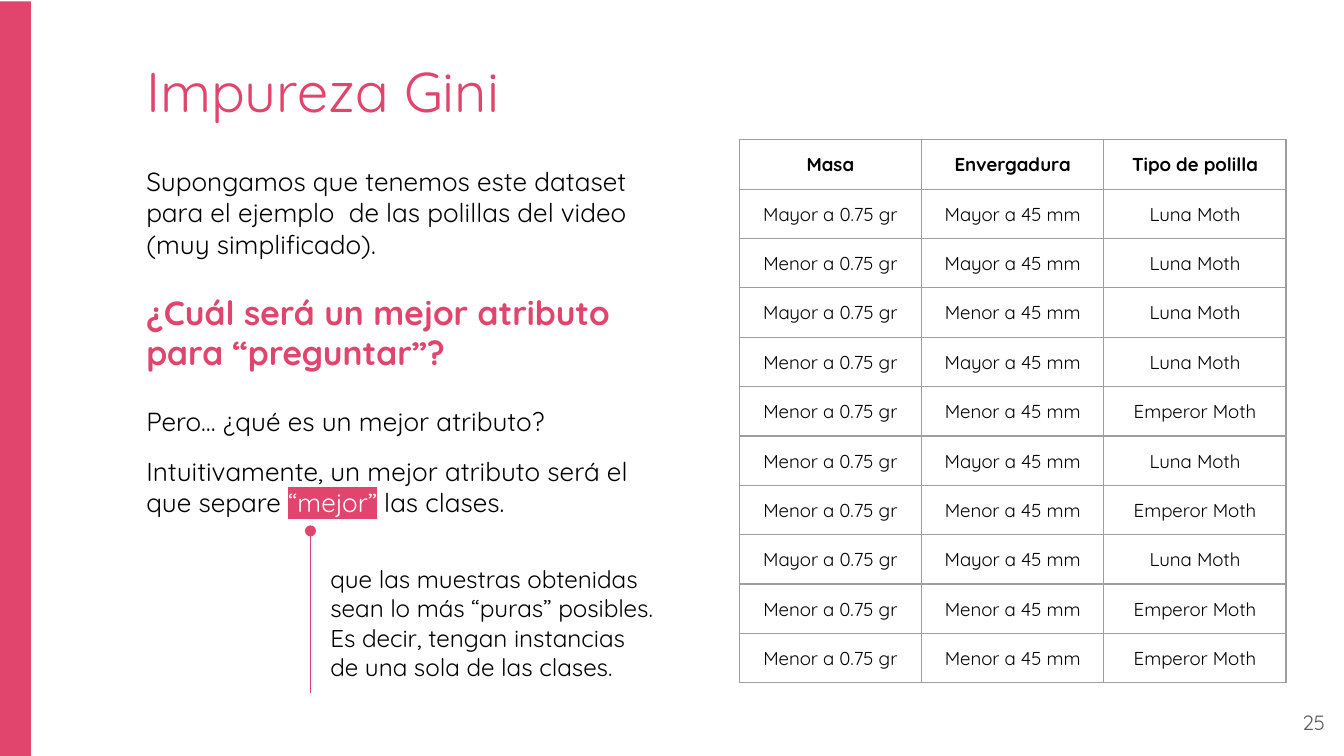
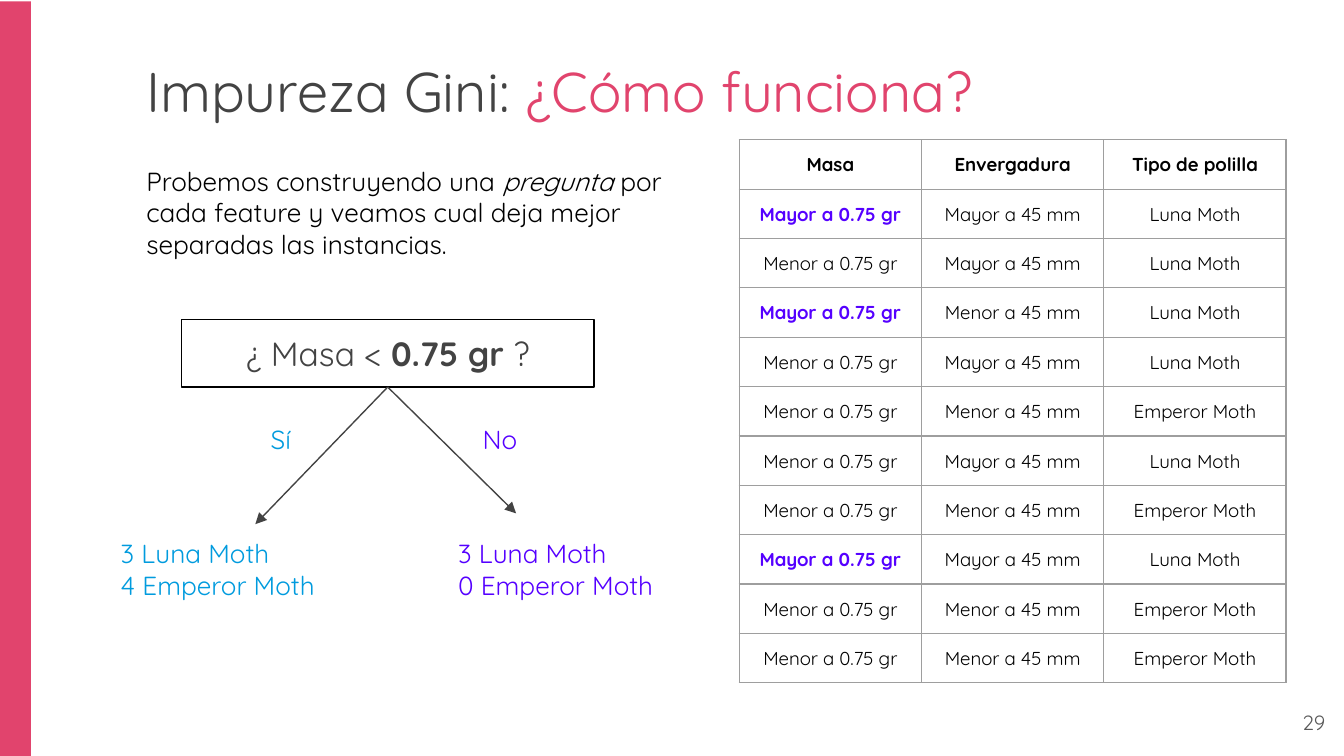
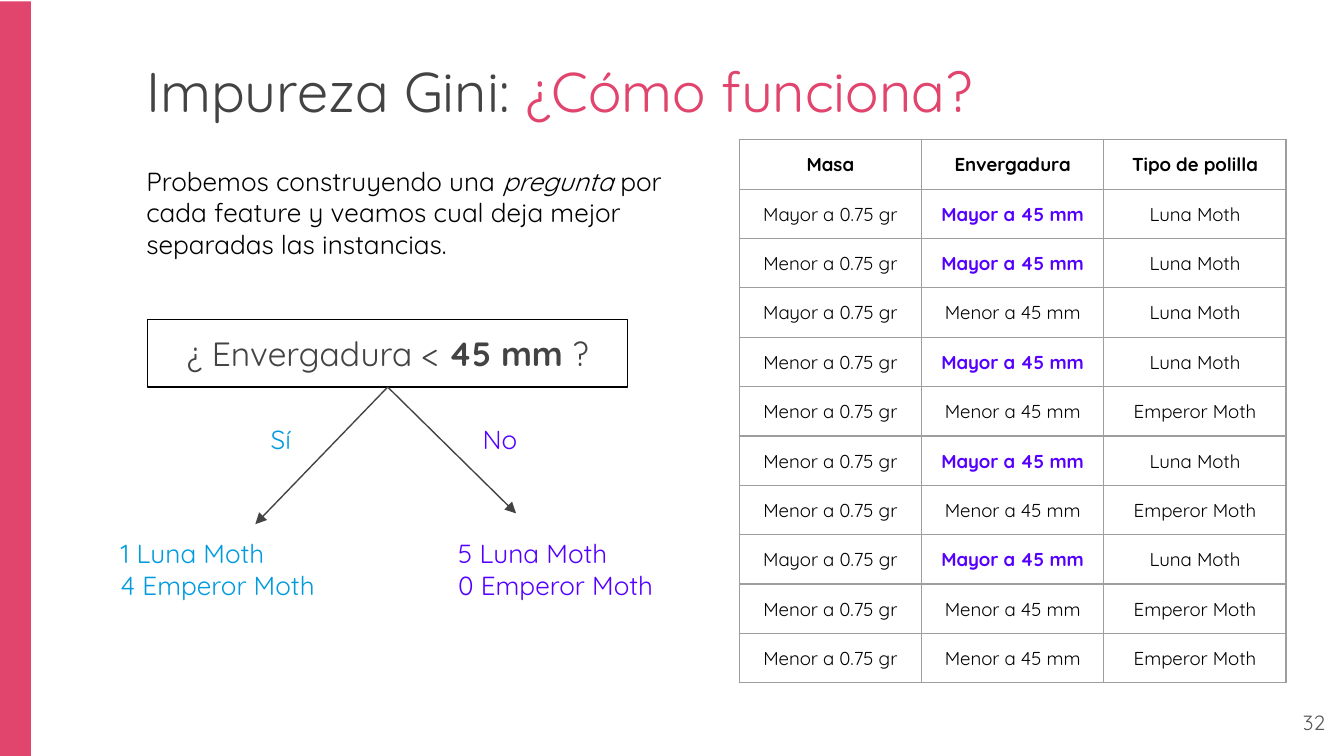
from dataclasses import dataclass

from lxml import etree
from pptx import Presentation
from pptx.dml.color import RGBColor
from pptx.enum.shapes import MSO_CONNECTOR, MSO_SHAPE
from pptx.enum.text import MSO_ANCHOR, PP_ALIGN
from pptx.oxml.ns import qn
from pptx.util import Inches, Pt

LEFT, CENTER, RIGHT = PP_ALIGN.LEFT, PP_ALIGN.CENTER, PP_ALIGN.RIGHT
TOP, MIDDLE = MSO_ANCHOR.TOP, MSO_ANCHOR.MIDDLE
RECT = MSO_SHAPE.RECTANGLE
STRAIGHT = MSO_CONNECTOR.STRAIGHT

FONT = "Quicksand"
COLORS = {
    "pink": "E1446D",
    "dark": "434343",
    "gray": "595959",
    "grid": "9E9E9E",
    "black": "000000",
    "white": "FFFFFF",
    "violet": "5500FF",
    "blue": "009BDE",
}
THIN = Pt(0.75)
INSET = Inches(0.1)
GAP = 17.5

HEADS = ("Masa", "Envergadura", "Tipo de polilla")
HEAVY, LIGHT = "Mayor a 0.75 gr", "Menor a 0.75 gr"
WIDE, SHORT = "Mayor a 45 mm", "Menor a 45 mm"
LUNA, EMPEROR = "Luna Moth", "Emperor Moth"
MOTHS = (
    (HEAVY, WIDE, LUNA),
    (LIGHT, WIDE, LUNA),
    (HEAVY, SHORT, LUNA),
    (LIGHT, WIDE, LUNA),
    (LIGHT, SHORT, EMPEROR),
    (LIGHT, WIDE, LUNA),
    (LIGHT, SHORT, EMPEROR),
    (HEAVY, WIDE, LUNA),
    (LIGHT, SHORT, EMPEROR),
    (LIGHT, SHORT, EMPEROR),
)


@dataclass(frozen=True)
class Run:
    text: str
    color: str = ""
    bold: bool = False
    slant: bool = False
    mark: str = ""


@dataclass(frozen=True)
class Para:
    runs: tuple[Run, ...]
    size: float = 0
    before: float = 0


@dataclass(frozen=True)
class Box:
    left: float
    top: float
    width: float
    height: float

    def place(self) -> tuple:
        return tuple(map(Inches, (self.left, self.top, self.width, self.height)))


@dataclass(frozen=True)
class Branch:
    label: str
    color: str
    tip: tuple[float, float]
    tag: Box
    leaf: Box


@dataclass(frozen=True)
class Split:
    number: int
    box: Box
    ask: str
    limit: str
    counts: tuple[tuple[int, int], ...]
    marked: str


BRANCHES = (
    Branch("No", "violet", (3.84, 3.82), Box(3.42, 3.05, 0.6, 0.5), Box(3.31, 3.9, 2.19, 0.5)),
    Branch("Sí", "blue", (1.9, 3.9), Box(1.79, 3.05, 0.6, 0.5), Box(0.8, 3.9, 2.19, 0.5)),
)
SPLITS = (
    Split(29, Box(1.35, 2.38, 3.07, 0.5), "¿ Masa < ", "0.75 gr ", ((3, 0), (3, 4)), HEAVY),
    Split(32, Box(1.1, 2.38, 3.57, 0.5), "¿ Envergadura < ", "45 mm ", ((5, 0), (1, 4)), WIDE),
)


def rgb(name: str) -> RGBColor:
    return RGBColor.from_string(COLORS[name])


def write(frame, *paras: Para, size: float, color: str = "black", align=LEFT):
    for i, para in enumerate(paras):
        p = frame.add_paragraph() if i else frame.paragraphs[0]
        p.alignment = align
        p.space_before = Pt(para.before)
        for run in para.runs:
            r = p.add_run()
            r.text = run.text
            font = r.font
            font.name = FONT
            font.size = Pt(para.size or size)
            font.bold = run.bold
            font.italic = run.slant
            font.color.rgb = rgb(run.color or color)
            if run.mark:
                mark = etree.Element(qn("a:highlight"))
                etree.SubElement(mark, qn("a:srgbClr"), val=COLORS[run.mark])
                r._r.rPr.find(qn("a:solidFill")).addnext(mark)


def pad(item, anchor=TOP):
    item.vertical_anchor = anchor
    item.margin_left = item.margin_right = INSET
    item.margin_top = item.margin_bottom = INSET


def add_text(slide, box: Box, *paras: Para, **style):
    frame = slide.shapes.add_textbox(*box.place()).text_frame
    frame.word_wrap = True
    pad(frame)
    write(frame, *paras, **style)


def add_rect(slide, box: Box, fill: str = "", line: str = ""):
    shape = slide.shapes.add_shape(RECT, *box.place())
    shape.shadow.inherit = False
    if fill:
        shape.fill.solid()
        shape.fill.fore_color.rgb = rgb(fill)
    else:
        shape.fill.background()
    if line:
        shape.line.color.rgb = rgb(line)
        shape.line.width = THIN
    else:
        shape.line.fill.background()
    return shape


def add_line(slide, start: tuple, end: tuple, color: str, cap: str, kind: str):
    line = slide.shapes.add_connector(STRAIGHT, *map(Inches, start + end))
    line.line.color.rgb = rgb(color)
    line.line.width = THIN
    etree.SubElement(line.line._get_or_add_ln(), qn(f"a:{cap}"), type=kind)
    etree.SubElement(line._element.spPr, qn("a:effectLst"))
    return line


def add_edges(cell):
    props = cell._tc.get_or_add_tcPr()
    for i, side in enumerate(("lnL", "lnR", "lnT", "lnB")):
        edge = etree.Element(qn(f"a:{side}"), w=str(int(THIN)))
        fill = etree.SubElement(edge, qn("a:solidFill"))
        etree.SubElement(fill, qn("a:srgbClr"), val=COLORS["grid"])
        props.insert(i, edge)


def add_moths(slide, marked: str = ""):
    rows = (HEADS, *MOTHS)
    box = Box(5.5, 1.04, 4.07, 0.33 * len(rows))
    table = slide.shapes.add_table(len(rows), len(HEADS), *box.place()).table
    table.first_row = table.horz_banding = False
    for i, row in enumerate(rows):
        for j, text in enumerate(row):
            cell = table.cell(i, j)
            cell.fill.background()
            pad(cell)
            add_edges(cell)
            hit = text == marked
            run = Run(text, "violet" if hit else "black", bold=hit or i == 0)
            write(cell.text_frame, Para((run,)), size=10, align=CENTER)


def add_page(deck, number: int, *title: Run):
    slide = deck.slides.add_slide(deck.slide_layouts[6])
    add_rect(slide, Box(0, 0.01, 0.23, 5.62), fill="pink")
    add_text(slide, Box(0.99, 0.32, 6.83, 0.64), Para(title), size=30)
    add_text(slide, Box(9.36, 5.19, 0.6, 0.43), Para((Run(str(number)),)),
             size=11, color="gray", align=RIGHT)
    return slide


def add_intro(deck):
    slide = add_page(deck, 25, Run("Impureza Gini", "pink"))
    add_text(
        slide, Box(0.99, 1.13, 4.13, 2.8),
        Para((Run("Supongamos que tenemos este dataset para el ejemplo  de las polillas "
                  "del video (muy simplificado)."),)),
        Para((Run("¿Cuál será un mejor atributo para “preguntar”?", "pink", bold=True),),
             size=18, before=GAP),
        Para((Run("Pero… ¿qué es un mejor atributo?"),), before=GAP),
        Para((Run("Intuitivamente, un mejor atributo será el que separe "),
              Run("“mejor”", "white", mark="pink"),
              Run(" las clases.")), before=10),
        size=14)
    add_moths(slide)
    add_text(
        slide, Box(2.36, 4.1, 2.64, 0.69),
        Para((Run("que las muestras obtenidas sean lo más “puras” posibles. "
                  "Es decir, tengan instancias de una sola de las clases."),)),
        size=13)
    add_line(slide, (2.31, 3.95), (2.31, 5.16), "pink", "headEnd", "oval")


def add_split(deck, split: Split):
    slide = add_page(deck, split.number, Run("Impureza Gini: ", "dark"),
                     Run("¿Cómo funciona?", "pink"))
    add_text(
        slide, Box(0.99, 1.13, 4.13, 0.92),
        Para((Run("Probemos construyendo una "), Run("pregunta", slant=True),
              Run(" por cada feature y veamos cual deja mejor separadas las instancias."))),
        size=14)
    add_moths(slide, split.marked)
    root = add_rect(slide, split.box, line="black")
    pad(root.text_frame, MIDDLE)
    write(root.text_frame, Para((Run(split.ask), Run(split.limit, bold=True), Run("?"))),
          size=18, color="dark", align=CENTER)
    for branch, (luna, emperor) in zip(BRANCHES, split.counts):
        arrow = add_line(slide, (2.88, 2.88), branch.tip, "dark", "tailEnd", "triangle")
        arrow.begin_connect(root, 2)
        add_text(slide, branch.tag, Para((Run(branch.label),)),
                 size=14, color=branch.color, align=CENTER)
        add_text(slide, branch.leaf, Para((Run(f"{luna} {LUNA}"),)),
                 Para((Run(f"{emperor} {EMPEROR}"),)), size=14, color=branch.color)


def main():
    deck = Presentation()
    deck.slide_width = Inches(10)
    deck.slide_height = deck.slide_width * 9 // 16
    add_intro(deck)
    for split in SPLITS:
        add_split(deck, split)
    deck.save("out.pptx")


if __name__ == "__main__":
    main()
